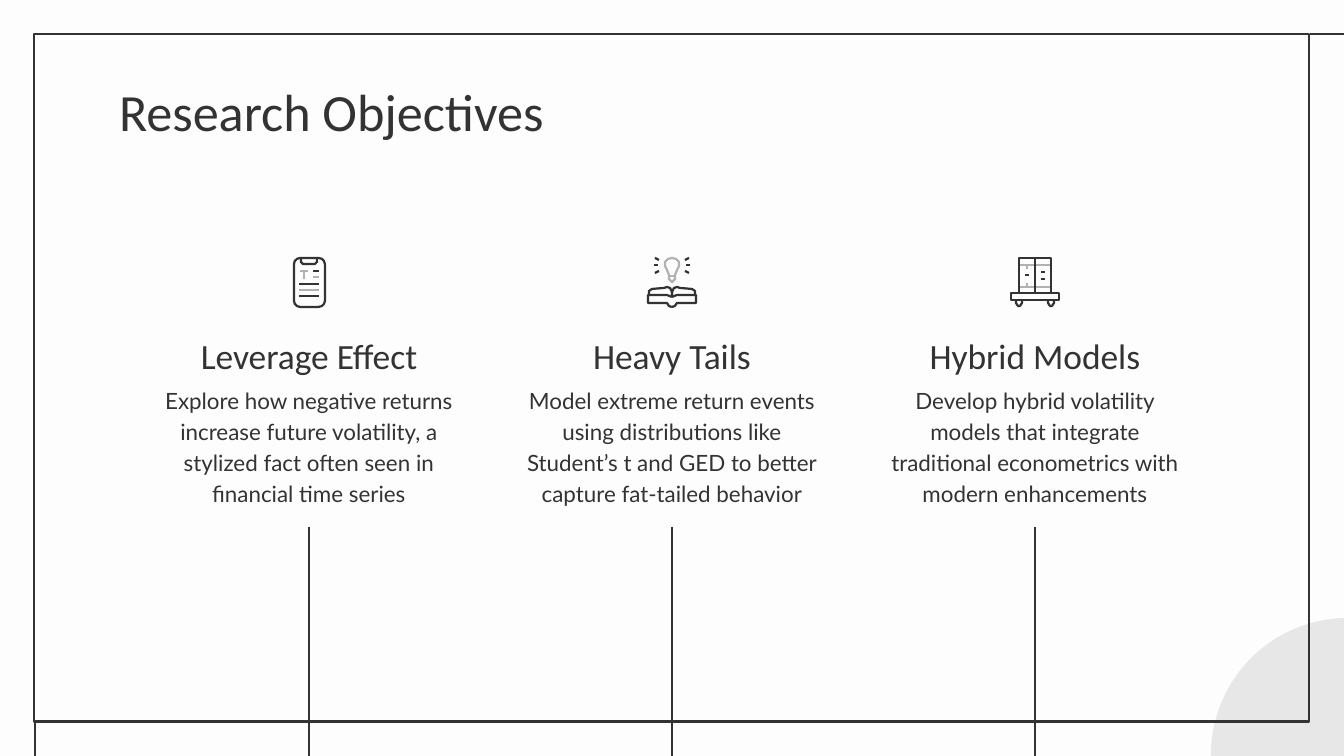
from lxml.etree import SubElement
from pptx import Presentation
from pptx.dml.color import RGBColor
from pptx.enum.shapes import MSO_CONNECTOR as Connector, MSO_SHAPE as Shape
from pptx.enum.text import MSO_ANCHOR as Anchor, MSO_AUTO_SIZE as AutoSize, PP_ALIGN as Align
from pptx.oxml.ns import qn
from pptx.util import Emu, Pt

EMU_PER_PX = 914400 / 134.4
INK, GREY, PALE, PAPER = "333333", "B2B2B2", "E8E7E7", "FDFDFD"
INSET = 13
COLUMN_WIDTH = 329
CENTRES = (309, 672, 1035)
ICON_TOP = 257

COLUMNS = (
    ("Leverage Effect",
     "Explore how negative returns increase future volatility, "
     "a stylized fact often seen in financial time series"),
    ("Heavy Tails",
     "Model extreme return events using distributions like "
     "Student’s t and GED to better capture fat-tailed behavior"),
    ("Hybrid Models",
     "Develop hybrid volatility models that integrate "
     "traditional econometrics with modern enhancements"),
)


def px(value):
    return Emu(round(value * EMU_PER_PX))


def colour(value):
    return RGBColor.from_string(value)


def add_line(slide, start, end, tone=INK, width=1.5):
    line = slide.shapes.add_connector(Connector.STRAIGHT, *map(px, (*start, *end)))
    line.line.color.rgb = colour(tone)
    line.line.width = Pt(width)
    SubElement(line._element.spPr, qn("a:effectLst"))


def style_shape(shape, fill=None, tone=None, width=1.5):
    """Set the fill and outline; None means there is none."""
    shape.shadow.inherit = False
    if fill:
        shape.fill.solid()
        shape.fill.fore_color.rgb = colour(fill)
    else:
        shape.fill.background()
    if tone:
        shape.line.color.rgb = colour(tone)
        shape.line.width = Pt(width)
    else:
        shape.line.fill.background()


def add_preset(slide, kind, bounds, **style):
    shape = slide.shapes.add_shape(kind, *map(px, bounds))
    style_shape(shape, **style)
    return shape


def write_text(box, text, font, size, align, anchor=Anchor.TOP, spacing=1.0):
    frame = box.text_frame
    frame.word_wrap = True
    frame.auto_size = AutoSize.NONE
    frame.vertical_anchor = anchor
    frame.margin_left = frame.margin_right = px(INSET)
    frame.margin_top = frame.margin_bottom = px(INSET)
    para = frame.paragraphs[0]
    para.alignment = align
    para.line_spacing = spacing
    span = para.add_run()
    span.text = text
    span.font.name = font
    span.font.size = Pt(size)
    span.font.color.rgb = colour(INK)


def add_title(slide, text):
    title = slide.shapes.title
    title.left, title.top, title.width, title.height = map(px, (106, 66, 1133, 85))
    write_text(title, text, "Calibri", 28, Align.LEFT)


def add_column_text(slide, centre, heading, body):
    left = px(centre - COLUMN_WIDTH / 2)
    box = slide.shapes.add_textbox(left, px(370), px(COLUMN_WIDTH), px(146))
    write_text(box, body, "Lato", 12, Align.CENTER, spacing=1.15)
    box = slide.shapes.add_textbox(left, px(336), px(COLUMN_WIDTH), px(54))
    write_text(box, heading, "Calibri", 19, Align.CENTER, Anchor.BOTTOM, 1.15)


def mirrored(points):
    return [(-x, y) for x, y in points]


def icon_pen(slide, centre):
    """Return a function that draws one stroke, placed from the icon's top centre."""
    def draw(*points, tone=INK, closed=False):
        placed = [(centre + x, ICON_TOP + y) for x, y in points]
        if len(placed) == 2:
            add_line(slide, *placed, tone=tone, width=1.2)
            return
        builder = slide.shapes.build_freeform(*placed[0], scale=EMU_PER_PX)
        builder.add_line_segments(placed[1:], close=closed)
        style_shape(builder.convert_to_shape(), tone=tone, width=1.2)
    return draw


def draw_clipboard(slide, centre):
    draw = icon_pen(slide, centre)
    board = add_preset(slide, Shape.ROUNDED_RECTANGLE,
                       (centre - 15, ICON_TOP + 1, 31, 49), tone=INK, width=1.2)
    board.adjustments[0] = 0.2
    draw((-8, 1), (-8, 5), (-6, 7), (6, 7), (8, 5), (8, 1))
    draw((-9, 14), (-1, 14), tone=GREY)
    draw((-5, 14), (-5, 22), tone=GREY)
    for left, y, tone in ((4, 14, INK), (4, 20, GREY), (-10, 27, INK),
                          (-10, 33, GREY), (-10, 39, INK)):
        draw((left, y), (10, y), tone=tone)


def draw_book(slide, centre):
    draw = icon_pen(slide, centre)
    page = [(0, 40), (0, 35), (2, 31), (5, 30), (8, 31), (20, 32), (23, 34), (23, 38)]
    cover = [(0, 40), (5, 38), (24, 38), (24, 46), (5, 46), (3, 49), (0, 50)]
    bulb = [(0, 1), (4, 2), (7, 5), (7, 9), (5, 13), (3, 18), (3, 22), (0, 25)]
    rays = [[(13, 3), (17, 1)], [(14, 8), (18, 8)], [(13, 14), (17, 16)]]
    for side in (page, cover, *rays):
        draw(*side)
        draw(*mirrored(side))
    draw(*bulb, *mirrored(bulb[-2:0:-1]), tone=GREY, closed=True)
    draw((-3, 19), (3, 19), tone=GREY)


def draw_cart(slide, centre):
    draw = icon_pen(slide, centre)
    for y, stem_end in ((8, 12), (30, 26)):
        draw((-16, y), (16, y), tone=GREY)
        draw((-8, y), (-8, stem_end), tone=GREY)
    for left, top, width, height in ((-16, 1, 32, 35), (-24, 36, 48, 7)):
        add_preset(slide, Shape.RECTANGLE,
                   (centre + left, ICON_TOP + top, width, height), tone=INK, width=1.2)
    draw((0, 1), (0, 36))
    for left, y in ((-10, 18), (6, 15), (6, 22)):
        draw((left, y), (left + 4, y))
    wheel = [(-19, 43), (-19, 46), (-17, 49), (-15, 49), (-13, 46), (-13, 43)]
    draw(*wheel)
    draw(*mirrored(wheel))


def draw_backdrop(slide):
    slide.background.fill.solid()
    slide.background.fill.fore_color.rgb = colour(PAPER)
    add_preset(slide, Shape.OVAL, (1211, 618, 274, 274), fill=PALE)
    add_preset(slide, Shape.RECTANGLE, (34, 34, 1275, 688), tone=INK)
    add_line(slide, (1355, 34), (1310, 34))
    add_line(slide, (35, 723), (35, 769))


def main():
    deck = Presentation()
    deck.slide_width, deck.slide_height = px(1344), px(756)
    slide = deck.slides.add_slide(deck.slide_layouts[5])
    draw_backdrop(slide)
    add_title(slide, "Research Objectives")
    icons = (draw_clipboard, draw_book, draw_cart)
    for centre, (heading, body), draw_icon in zip(CENTRES, COLUMNS, icons):
        add_column_text(slide, centre, heading, body)
        draw_icon(slide, centre)
        add_line(slide, (centre, 527), (centre, 775))
    deck.save("out.pptx")


if __name__ == "__main__":
    main()
